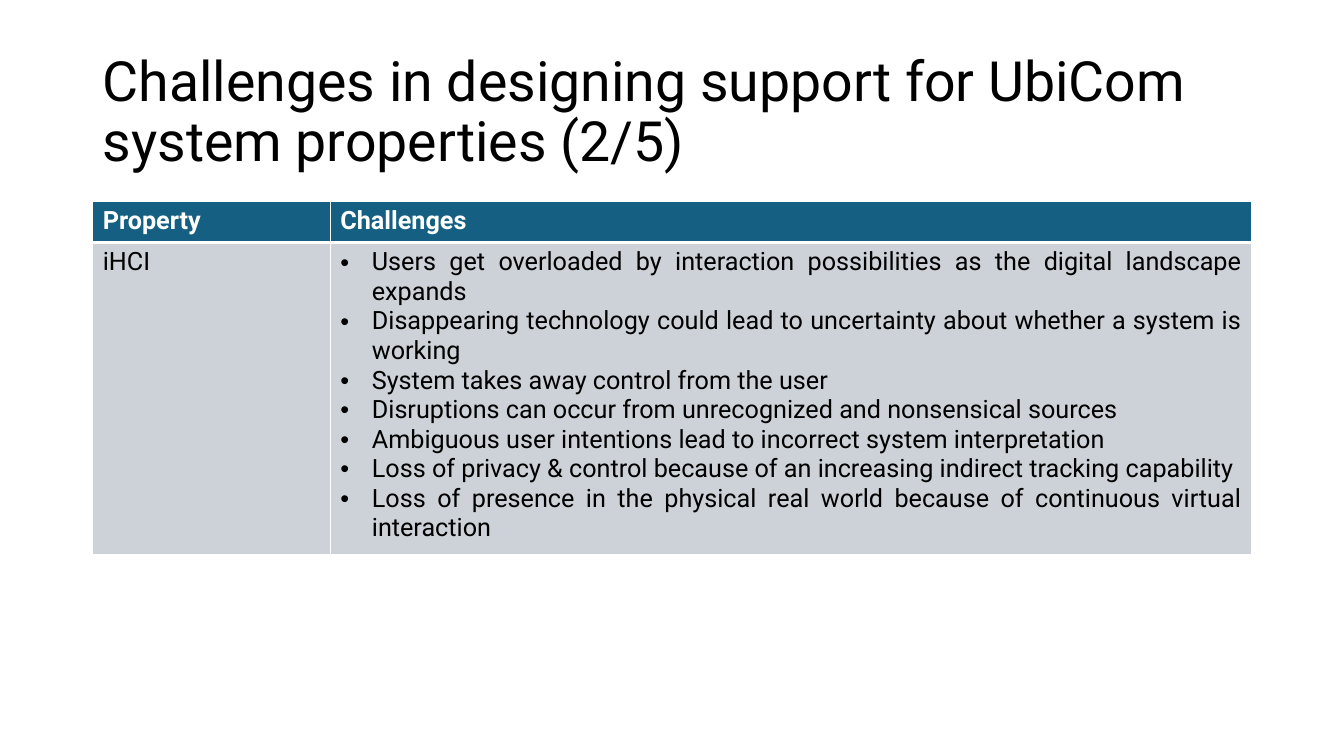
from dataclasses import dataclass

from lxml import etree
from pptx import Presentation
from pptx.dml.color import RGBColor
from pptx.enum.text import MSO_ANCHOR, PP_ALIGN
from pptx.oxml.ns import qn
from pptx.slide import Slide
from pptx.table import _Cell
from pptx.text.text import _Paragraph
from pptx.util import Pt

MIDDLE = MSO_ANCHOR.MIDDLE
LEFT = PP_ALIGN.LEFT
JUSTIFY = PP_ALIGN.JUSTIFY


@dataclass(frozen=True)
class Theme:
    font: str = "Roboto"
    ink: str = "000000"
    white: str = "FFFFFF"
    header_fill: str = "156082"
    body_fill: str = "CCD2D8"
    title_size: float = 39.6
    table_size: float = 18
    bullet_indent: float = 22.5


@dataclass(frozen=True)
class CellContent:
    lines: tuple[str, ...]
    header: bool = False
    bulleted: bool = False


THEME = Theme()
MARGIN_LEFT = 66.24
CONTENT_WIDTH = 828
COLUMN_WIDTHS = (169.7, 658.3)
ROW_HEIGHTS = (29.2, 218.2)
TITLE = "Challenges in designing support for UbiCom system properties (2/5)"
CHALLENGES = (
    "Users get overloaded by interaction possibilities as the digital landscape expands",
    "Disappearing technology could lead to uncertainty about whether a system is working",
    "System takes away control from the user",
    "Disruptions can occur from unrecognized and nonsensical sources",
    "Ambiguous user intentions lead to incorrect system interpretation",
    "Loss of privacy & control because of an increasing indirect tracking capability",
    "Loss of presence in the physical real world because of continuous virtual interaction",
)
ROWS = (
    (CellContent(("Property",), header=True), CellContent(("Challenges",), header=True)),
    (CellContent(("iHCI",)), CellContent(CHALLENGES, bulleted=True)),
)


def add_run(paragraph: _Paragraph, text: str, size: float, color: str, bold: bool = False) -> None:
    run = paragraph.add_run()
    run.text = text
    run.font.name = THEME.font
    run.font.size = Pt(size)
    run.font.bold = bold
    run.font.color.rgb = RGBColor.from_string(color)


def add_bullet(paragraph: _Paragraph) -> None:
    properties = paragraph._p.get_or_add_pPr()
    indent = Pt(THEME.bullet_indent)
    properties.set("marL", str(indent))
    properties.set("indent", str(-indent))
    etree.SubElement(properties, qn("a:buFont"), typeface="Arial")
    etree.SubElement(properties, qn("a:buChar"), char="•")


def add_borders(cell: _Cell, bottom_width: float) -> None:
    properties = cell._tc.get_or_add_tcPr()
    for side, width in (("L", 1), ("R", 1), ("T", 1), ("B", bottom_width)):
        border = etree.SubElement(properties, qn(f"a:ln{side}"), w=str(Pt(width)))
        fill = etree.SubElement(border, qn("a:solidFill"))
        etree.SubElement(fill, qn("a:srgbClr"), val=THEME.white)


def fill_cell(cell: _Cell, content: CellContent) -> None:
    add_borders(cell, 3 if content.header else 1)
    cell.fill.solid()
    cell.fill.fore_color.rgb = RGBColor.from_string(
        THEME.header_fill if content.header else THEME.body_fill
    )
    color = THEME.white if content.header else THEME.ink
    for index, line in enumerate(content.lines):
        paragraph = cell.text_frame.add_paragraph() if index else cell.text_frame.paragraphs[0]
        paragraph.alignment = JUSTIFY if content.bulleted else LEFT
        if content.bulleted:
            add_bullet(paragraph)
        add_run(paragraph, line, THEME.table_size, color, content.header)


def add_title(slide: Slide) -> None:
    title = slide.shapes.add_textbox(Pt(MARGIN_LEFT), Pt(28.8), Pt(CONTENT_WIDTH), Pt(104.4))
    frame = title.text_frame
    frame.word_wrap = True
    frame.vertical_anchor = MIDDLE
    paragraph = frame.paragraphs[0]
    paragraph.line_spacing = 0.9
    add_run(paragraph, TITLE, THEME.title_size, THEME.ink)


def add_challenges_table(slide: Slide) -> None:
    table = slide.shapes.add_table(
        len(ROWS), len(COLUMN_WIDTHS),
        Pt(MARGIN_LEFT), Pt(144), Pt(CONTENT_WIDTH), Pt(sum(ROW_HEIGHTS)),
    ).table
    table.horz_banding = False
    for column, width in zip(table.columns, COLUMN_WIDTHS):
        column.width = Pt(width)
    for row, height, contents in zip(table.rows, ROW_HEIGHTS, ROWS):
        row.height = Pt(height)
        for cell, content in zip(row.cells, contents):
            fill_cell(cell, content)


def main() -> None:
    presentation = Presentation()
    presentation.slide_width = Pt(960)
    presentation.slide_height = Pt(540)
    slide = presentation.slides.add_slide(presentation.slide_layouts[6])
    add_title(slide)
    add_challenges_table(slide)
    presentation.save("out.pptx")


if __name__ == "__main__":
    main()
